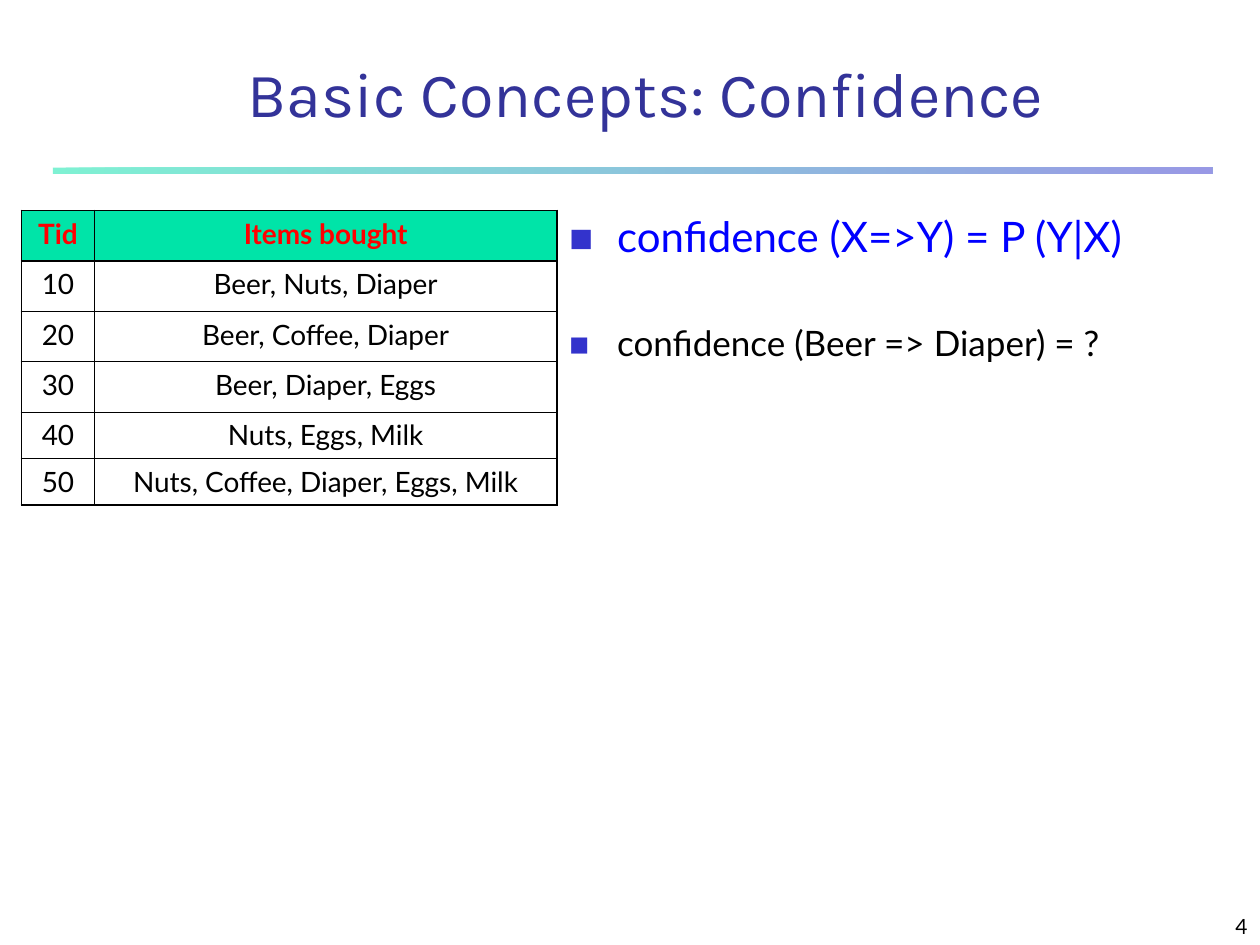
import pptx
import pptx.dml.color
import pptx.enum.shapes
import pptx.enum.text
import pptx.oxml
import pptx.oxml.ns
import pptx.util
from pptx.dml.color import RGBColor
from pptx.util import Inches, Pt

# Content
TITLE = "Basic Concepts: Confidence"
PAGE_NUMBER = "4"
TRANSACTIONS = [
    ("Tid", "Items bought"),
    ("10", "Beer, Nuts, Diaper"),
    ("20", "Beer, Coffee, Diaper"),
    ("30", "Beer, Diaper, Eggs"),
    ("40", "Nuts, Eggs, Milk"),
    ("50", "Nuts, Coffee, Diaper, Eggs, Milk"),
]
COLUMN_WIDTHS = [0.58, 3.67]
ROW_HEIGHTS = [0.4, 0.4, 0.4, 0.4, 0.37, 0.37]

BLACK = RGBColor(0x00, 0x00, 0x00)
BLUE = RGBColor(0x00, 0x00, 0xFF)
RED = RGBColor(0xFF, 0x00, 0x00)
GREEN = RGBColor(0x00, 0xE4, 0xA8)
INDIGO = RGBColor(0x33, 0x33, 0xCC)
NAVY = RGBColor(0x33, 0x33, 0x99)

# Text, size, colour, space before
FORMULAS = [
    ("confidence (X=>Y) = P (Y|X)", 24, BLUE, 6),
    ("confidence (Beer => Diaper) = ?", 20, BLACK, 37),
]

TITLE_FONT, BODY_FONT = "Karla", "Lato"
THICK, THIN = 1.08, 0.45
ALIGN = pptx.enum.text.PP_ALIGN
ANCHOR = pptx.enum.text.MSO_ANCHOR


def add_xml(parent, xml):
    namespace = pptx.oxml.ns.nsdecls("a")
    parent.append(pptx.oxml.parse_xml(xml.replace(" ", f" {namespace} ", 1)))


def format_para(para, size, color, align, font=BODY_FONT, bold=False):
    para.alignment = align
    for span in para.runs:
        span.font.name = font
        span.font.size = Pt(size)
        span.font.bold = bold
        span.font.color.rgb = color


def add_box(page, left, top, width, height, anchor):
    box = page.shapes.add_textbox(*map(Inches, (left, top, width, height)))
    box.text_frame.word_wrap = True
    box.text_frame.vertical_anchor = anchor
    return box.text_frame


def add_bullet(para):
    properties = para._p.get_or_add_pPr()
    properties.set("marL", str(Inches(0.38)))
    properties.set("indent", str(-Inches(0.38)))
    add_xml(properties, f'<a:buClr ><a:srgbClr val="{INDIGO}"/></a:buClr>')
    add_xml(properties, '<a:buSzPct val="60000"/>')
    add_xml(properties, f'<a:buFont typeface="{BODY_FONT}"/>')
    add_xml(properties, '<a:buChar char="■"/>')


def add_borders(cell, top, bottom):
    widths = {"L": THICK, "R": THICK, "T": top, "B": bottom}
    for side, width in widths.items():
        add_xml(
            cell._tc.get_or_add_tcPr(),
            f'<a:ln{side} w="{Pt(width)}"><a:solidFill>'
            f'<a:srgbClr val="{BLACK}"/></a:solidFill></a:ln{side}>',
        )


def add_rule(page):
    rule = page.shapes.add_shape(
        pptx.enum.shapes.MSO_SHAPE.RECTANGLE,
        *map(Inches, (0.42, 1.33, 9.2, 0.05)),
    )
    rule.shadow.inherit = False
    rule.line.fill.background()
    rule.fill.gradient()
    rule.fill.gradient_angle = 0
    for stop, color in zip(rule.fill.gradient_stops, (GREEN, INDIGO)):
        stop.color.rgb = color
    for color in rule._element.spPr.iter(pptx.oxml.ns.qn("a:srgbClr")):
        add_xml(color, '<a:alpha val="50000"/>')


def add_title(page):
    title = page.shapes.title
    title.left, title.top = Inches(0.75), Inches(0.25)
    title.width, title.height = Inches(8.75), Inches(0.83)
    frame = title.text_frame
    frame.text = TITLE
    frame.auto_size = pptx.enum.text.MSO_AUTO_SIZE.NONE
    frame.vertical_anchor = ANCHOR.BOTTOM
    format_para(frame.paragraphs[0], 36, NAVY, ALIGN.CENTER, TITLE_FONT)


def add_formulas(page):
    frame = add_box(page, 4.42, 1.67, 5.42, 5.42, ANCHOR.TOP)
    frame.text = "\n".join(formula[0] for formula in FORMULAS)
    for para, (_, size, color, space) in zip(frame.paragraphs, FORMULAS):
        format_para(para, size, color, ALIGN.LEFT)
        para.line_spacing = 0.9
        para.space_before = Pt(space)
        add_bullet(para)


def add_transactions(page):
    table = page.shapes.add_table(
        len(ROW_HEIGHTS), len(COLUMN_WIDTHS), Inches(0.17), Inches(1.67),
        Inches(sum(COLUMN_WIDTHS)), Inches(sum(ROW_HEIGHTS)),
    ).table
    table.first_row = table.horz_banding = False
    for column, width in zip(table.columns, COLUMN_WIDTHS):
        column.width = Inches(width)
    for row, height in zip(table.rows, ROW_HEIGHTS):
        row.height = Inches(height)

    last = len(TRANSACTIONS) - 1
    for index, texts in enumerate(TRANSACTIONS):
        header = index == 0
        for cell, text in zip(table.rows[index].cells, texts):
            cell.text = text
            para = cell.text_frame.paragraphs[0]
            format_para(para, 16, RED if header else BLACK, ALIGN.CENTER,
                        bold=header)
            para.space_before = Pt(4)
            add_borders(cell, THICK if index <= 1 else THIN,
                        THICK if index in (0, last) else THIN)
            if header:
                cell.fill.solid()
                cell.fill.fore_color.rgb = GREEN
            else:
                cell.fill.background()


def add_page_number(page):
    frame = add_box(page, 7.92, 7.08, 2.08, 0.42, ANCHOR.BOTTOM)
    frame.text = PAGE_NUMBER
    format_para(frame.paragraphs[0], 12, BLACK, ALIGN.RIGHT)


def main():
    deck = pptx.Presentation()
    deck.slide_width, deck.slide_height = Inches(10), Inches(7.5)
    page = deck.slides.add_slide(deck.slide_layouts.get_by_name("Title Only"))
    add_rule(page)
    add_page_number(page)
    add_title(page)
    add_formulas(page)
    add_transactions(page)
    deck.save("out.pptx")


if __name__ == "__main__":
    main()
